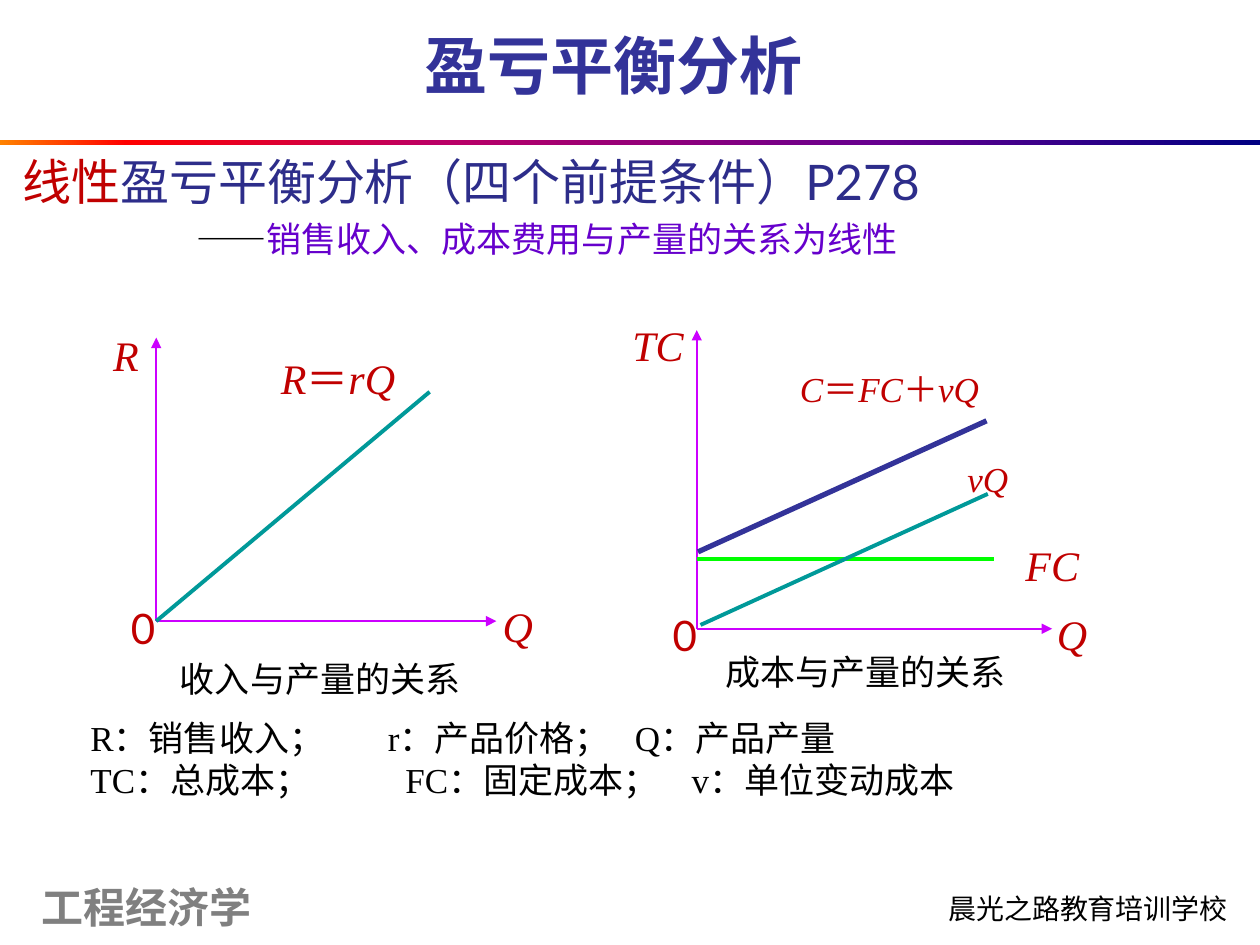
"""Build the break-even analysis slide with its two line diagrams."""
from dataclasses import dataclass, field

import lxml.etree
import pptx
import pptx.dml.color
import pptx.enum.shapes
import pptx.enum.text
import pptx.oxml.ns
import pptx.util

Inches = pptx.util.Inches
Align = pptx.enum.text.PP_ALIGN
Anchor = pptx.enum.text.MSO_ANCHOR
qn = pptx.oxml.ns.qn

COLORS = {
    "black": "000000", "red": "C00000", "navy": "2D2D8A", "indigo": "333399",
    "violet": "6600CC", "gray": "808080", "axis": "CC00FF", "teal": "009999",
    "green": "00FF00",
}
RAINBOW = [(0, "FF8200"), (10, "FF0000"), (35, "BA0066"), (70, "66008F"), (100, "000082")]
SERIF, SANS, CHINESE = "Times New Roman", "Lato", "Noto Sans CJK SC"


@dataclass
class Span:
    text: str
    color: str = "black"
    size: float = 20
    name: str = SERIF
    italic: bool = False
    bold: bool = False


@dataclass
class Label:
    place: tuple[float, float, float, float]
    lines: list[list[Span]]
    align: Align = Align.LEFT
    anchor: Anchor = Anchor.TOP
    wrap: bool = True
    tabs: list[tuple[float, ...]] = field(default_factory=list)


@dataclass
class Line:
    start: tuple[float, float]
    end: tuple[float, float]
    color: str
    width: float
    arrow: bool = False


def rgb(name: str) -> pptx.dml.color.RGBColor:
    """Return the named colour."""
    return pptx.dml.color.RGBColor.from_string(COLORS[name])


def symbol(text: str, size: float = 24, name: str = SERIF) -> Span:
    """Return a red diagram symbol, slanted when it is a serif variable."""
    return Span(text, "red", size, name, italic=name == SERIF and text not in "＝＋")


def write(frame, label: Label) -> None:
    """Fill a text frame with the paragraphs of a label."""
    layout = {"word_wrap": label.wrap, "vertical_anchor": label.anchor}
    for key, value in layout.items():
        setattr(frame, key, value)
    for index, spans in enumerate(label.lines):
        para = frame.paragraphs[0] if index == 0 else frame.add_paragraph()
        para.alignment = label.align
        if label.tabs:
            stops = lxml.etree.SubElement(para._p.get_or_add_pPr(), qn("a:tabLst"))
            for stop in label.tabs[index]:
                lxml.etree.SubElement(stops, qn("a:tab"), pos=str(Inches(stop)), algn="l")
        for span in spans:
            run = para.add_run()
            run.text = span.text
            style = {"name": span.name, "size": pptx.util.Pt(span.size),
                     "bold": span.bold, "italic": span.italic}
            for key, value in style.items():
                setattr(run.font, key, value)
            run.font.color.rgb = rgb(span.color)
            east_asian = lxml.etree.SubElement(run._r.get_or_add_rPr(), qn("a:ea"))
            east_asian.set("typeface", CHINESE)


def add_label(page, label: Label) -> None:
    """Add a text box."""
    box = page.shapes.add_textbox(*map(Inches, label.place))
    write(box.text_frame, label)


def add_line(page, line: Line) -> None:
    """Add a straight line, with an arrowhead at its end if asked."""
    connector = page.shapes.add_connector(
        pptx.enum.shapes.MSO_CONNECTOR.STRAIGHT, *map(Inches, line.start + line.end))
    connector.line.color.rgb = rgb(line.color)
    connector.line.width = pptx.util.Pt(line.width)
    if line.arrow:
        lxml.etree.SubElement(connector.line._get_or_add_ln(), qn("a:tailEnd"), type="triangle")
    lxml.etree.SubElement(connector._element.spPr, qn("a:effectLst"))


def add_rule(page) -> None:
    """Add the gradient rule under the title."""
    rule = page.shapes.add_shape(
        pptx.enum.shapes.MSO_SHAPE.RECTANGLE, *map(Inches, (0, 1.11, 10, 0.04)))
    rule.shadow.inherit = False
    rule.line.fill.background()
    rule.fill.gradient()
    rule.fill.gradient_angle = 0
    stops = rule._element.spPr.find(qn("a:gradFill")).find(qn("a:gsLst"))
    for stop in list(stops):
        stops.remove(stop)
    for percent, color in RAINBOW:
        stop = lxml.etree.SubElement(stops, qn("a:gs"), pos=str(percent * 1000))
        lxml.etree.SubElement(stop, qn("a:srgbClr"), val=color)


TITLE = Label((1.59, 0.19, 6.56, 0.64),
              [[Span("盈亏平衡分析", "indigo", 36, CHINESE, bold=True)]],
              Align.CENTER, Anchor.MIDDLE)

LINES = [
    Line((1.24, 4.93), (1.24, 2.68), "axis", 1, True),
    Line((1.24, 4.93), (3.94, 4.93), "axis", 1, True),
    Line((1.24, 4.93), (3.41, 3.11), "teal", 2.25),
    Line((5.53, 4.99), (5.53, 2.62), "axis", 1, True),
    Line((5.53, 4.99), (8.35, 4.99), "axis", 1, True),
    Line((5.53, 4.44), (7.89, 4.44), "green", 2.25),
    Line((5.56, 4.96), (7.84, 3.92), "teal", 2.25),
    Line((5.54, 4.38), (7.83, 3.34), "indigo", 3),
]

LABELS = [
    Label((0.23, 6.95, 2.5, 0.5), [[Span("工程经济学", "gray", 24, "Arial", bold=True)]],
          anchor=Anchor.MIDDLE),
    Label((7.43, 7.02, 2.8, 0.37), [[Span("晨光之路教育培训学校", size=16, name=CHINESE)]],
          anchor=Anchor.MIDDLE),
    Label((0.08, 1.15, 8.05, 0.57), [[
        Span("线性", "red", 28, SANS),
        Span("盈亏平衡分析（四个前提条件）P278", "navy", 28, SANS)]]),
    Label((1.46, 1.68, 8.18, 0.57), [[
        Span("——"), Span("销售收入、成本费用与产量的关系为线性", "violet", name=CHINESE)]]),
    Label((2.13, 2.75, 1.51, 0.5), [[symbol(text) for text in ("R", "＝", "rQ")]]),
    Label((0.94, 4.73, 0.44, 0.5), [[symbol("0", name=SANS)]]),
    Label((3.89, 4.72, 0.45, 0.5), [[symbol("Q")]]),
    Label((0.52, 2.57, 0.68, 0.5), [[symbol("R")]], Align.RIGHT),
    Label((1.33, 5.17, 2.44, 0.43), [[Span("收入与产量的关系", name=CHINESE)]], wrap=False),
    Label((6.25, 2.87, 2.53, 0.44),
          [[symbol(text, 20) for text in ("C", "＝", "FC", "＋", "vQ")]]),
    Label((5.24, 4.79, 0.38, 0.51), [[symbol("0", name=SANS)]]),
    Label((8.29, 4.78, 0.38, 0.5), [[symbol("Q")]]),
    Label((4.92, 2.49, 0.69, 0.5), [[symbol("TC")]]),
    Label((8.04, 4.23, 1.05, 0.51), [[symbol("FC")]]),
    Label((7.58, 3.58, 0.98, 0.43), [[symbol("vQ", 20)]]),
    Label((5.66, 5.11, 2.44, 0.43), [[Span("成本与产量的关系")]], wrap=False),
    Label((0.62, 5.64, 8.66, 0.77), [
        [Span("R："), Span("销售收入；\t", name=CHINESE), Span("r："),
         Span("产品价格；\t", name=CHINESE), Span("Q：产品产量")],
        [Span("TC：总成本；\tFC：固定成本；\tv：单位变动成本")],
    ], tabs=[(2.36, 4.32), (2.5, 4.77)]),
]


def main() -> None:
    """Build and save the deck."""
    deck = pptx.Presentation()
    deck.slide_width, deck.slide_height = Inches(10), Inches(7.5)
    page = deck.slides.add_slide(deck.slide_layouts.get_by_name("Title Only"))
    title = page.shapes.title
    for key, value in zip(("left", "top", "width", "height"), TITLE.place):
        setattr(title, key, Inches(value))
    write(title.text_frame, TITLE)
    add_rule(page)
    for line in LINES:
        add_line(page, line)
    for label in LABELS:
        add_label(page, label)
    deck.save("out.pptx")


if __name__ == "__main__":
    main()
